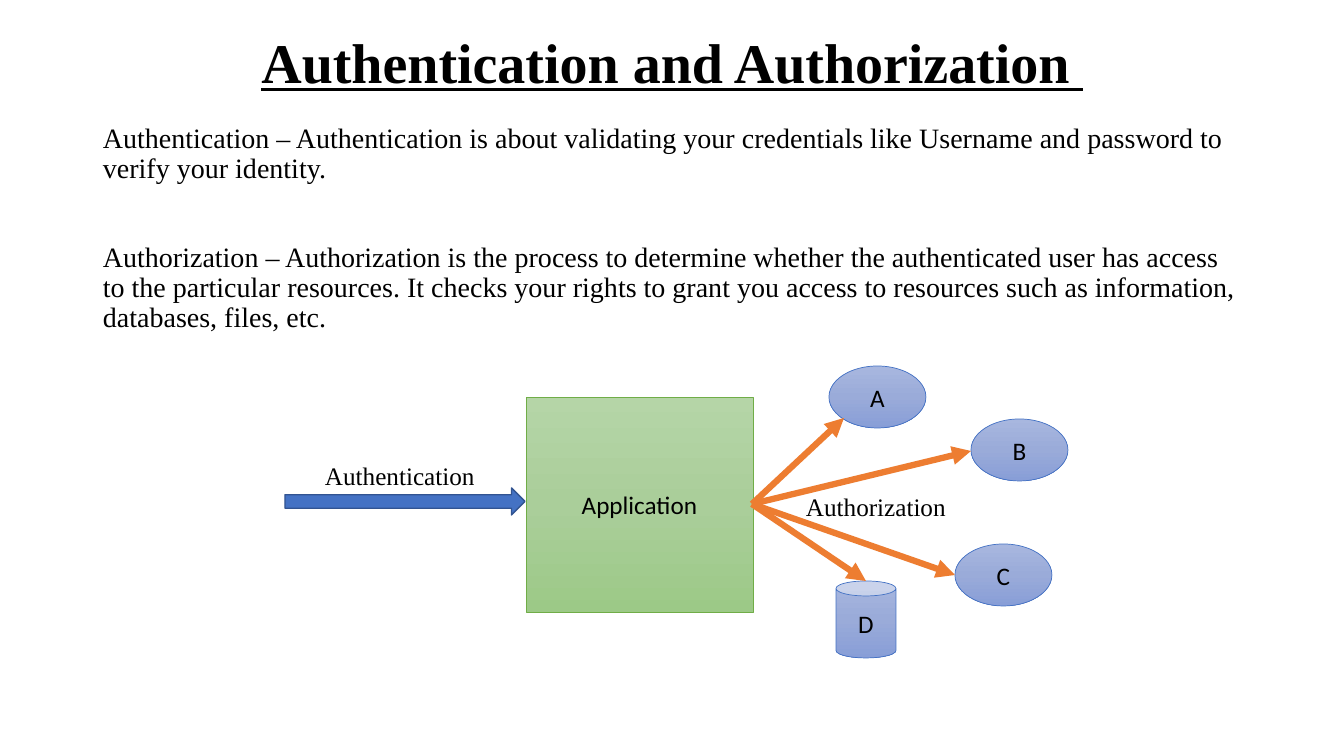
from copy import deepcopy
from pptx import Presentation
from pptx.dml.color import RGBColor
from pptx.enum.shapes import MSO_CONNECTOR as Line, MSO_SHAPE as Kind
from pptx.enum.text import MSO_ANCHOR as Anchor, PP_ALIGN as Align
from pptx.oxml.ns import qn
from pptx.util import Pt
from lxml.etree import SubElement

PX = 914400 / 100.8
BLACK = RGBColor(0x00, 0x00, 0x00)
BLUE = RGBColor(0x44, 0x72, 0xC4)
NAVY = RGBColor(0x32, 0x54, 0x91)
GREEN = RGBColor(0x70, 0xAD, 0x47)
ORANGE = RGBColor(0xED, 0x7D, 0x31)
LEAF = [RGBColor(0xB5, 0xD5, 0xA7), RGBColor(0xAA, 0xCE, 0x9A), RGBColor(0x9C, 0xC9, 0x87)]
SKY = [RGBColor(0xA8, 0xB7, 0xDF), RGBColor(0x9A, 0xAB, 0xD9), RGBColor(0x88, 0x9E, 0xD7)]
SERIF, SANS = "Times New Roman", "Calibri"


def px(*sizes):
    return [round(size * PX) for size in sizes]


def write(frame, lines, look, **layout):
    for i, line in enumerate(lines):
        para = frame.paragraphs[0] if i == 0 else frame.add_paragraph()
        for name, value in layout.items():
            setattr(para, name, value)
        run = para.add_run()
        run.text = line
        run.font.color.rgb = BLACK
        for name, value in look.items():
            setattr(run.font, name, value)


deck = Presentation()
deck.slide_width, deck.slide_height = px(1344, 756)
slide = deck.slides.add_slide(deck.slide_layouts[6])
shapes = slide.shapes

# Title
title = shapes.add_textbox(*px(93, 13, 1159, 104)).text_frame
title.word_wrap = True
title.vertical_anchor = Anchor.MIDDLE
write(title, ["Authentication and Authorization "],
      dict(size=Pt(40), name=SERIF, bold=True, underline=True),
      alignment=Align.CENTER, line_spacing=0.9)

# Definitions
body = shapes.add_textbox(*px(93, 119, 1159, 241)).text_frame
body.word_wrap = True
write(body, [
    "Authentication – Authentication is about validating your credentials like "
    "Username and password to verify your identity.",
    "Authorization – Authorization is the process to determine whether the "
    "authenticated user has access to the particular resources. It checks your "
    "rights to grant you access to resources such as information, databases, "
    "files, etc."],
    dict(size=Pt(20), name=SERIF), line_spacing=0.9)
body.paragraphs[1].space_before = Pt(42)

# Application and its resources
nodes = [
    ("Application", Kind.RECTANGLE, (526, 397, 227, 215), LEAF, GREEN),
    ("D", Kind.CAN, (836, 581, 60, 77), SKY, BLUE),
    ("C", Kind.OVAL, (955, 544, 97, 62), SKY, BLUE),
    ("A", Kind.OVAL, (829, 366, 97, 62), SKY, BLUE),
    ("B", Kind.OVAL, (971, 419, 97, 62), SKY, BLUE),
]
for name, kind, spot, shades, edge in nodes:
    node = shapes.add_shape(kind, *px(*spot))
    node.shadow.inherit = False
    node.fill.gradient()
    node.fill.gradient_angle = 270
    stops = node._element.spPr.find(".//" + qn("a:gsLst"))
    stops.insert(1, deepcopy(stops[0]))
    for i, stop in enumerate(node.fill.gradient_stops):
        stop.position = i / 2
        stop.color.rgb = shades[i]
    node.line.color.rgb = edge
    node.line.width = Pt(0.5)
    node.text_frame.vertical_anchor = Anchor.MIDDLE
    write(node.text_frame, [name], dict(size=Pt(18), name=SANS), alignment=Align.CENTER)

# Login arrow
login = shapes.add_shape(Kind.RIGHT_ARROW, *px(285, 488, 240, 27))
login.shadow.inherit = False
login.fill.solid()
login.fill.fore_color.rgb = BLUE
login.line.color.rgb = NAVY
login.line.width = Pt(1)

# Arrow labels
for label, spot in [("Authentication", (315, 455, 171, 40)),
                    ("Authorization", (796, 486, 161, 40))]:
    frame = shapes.add_textbox(*px(*spot)).text_frame
    frame.word_wrap = False
    write(frame, [label], dict(size=Pt(18), name=SERIF))

# Access arrows
for end in [(844, 418), (971, 451), (955, 575), (866, 581)]:
    link = shapes.add_connector(Line.STRAIGHT, *px(752, 504, *end))
    link.line.color.rgb = ORANGE
    link.line.width = Pt(4.5)
    SubElement(link.line._get_or_add_ln(), qn("a:tailEnd"), type="triangle")
    SubElement(link._element.spPr, qn("a:effectLst"))

deck.save("out.pptx")
